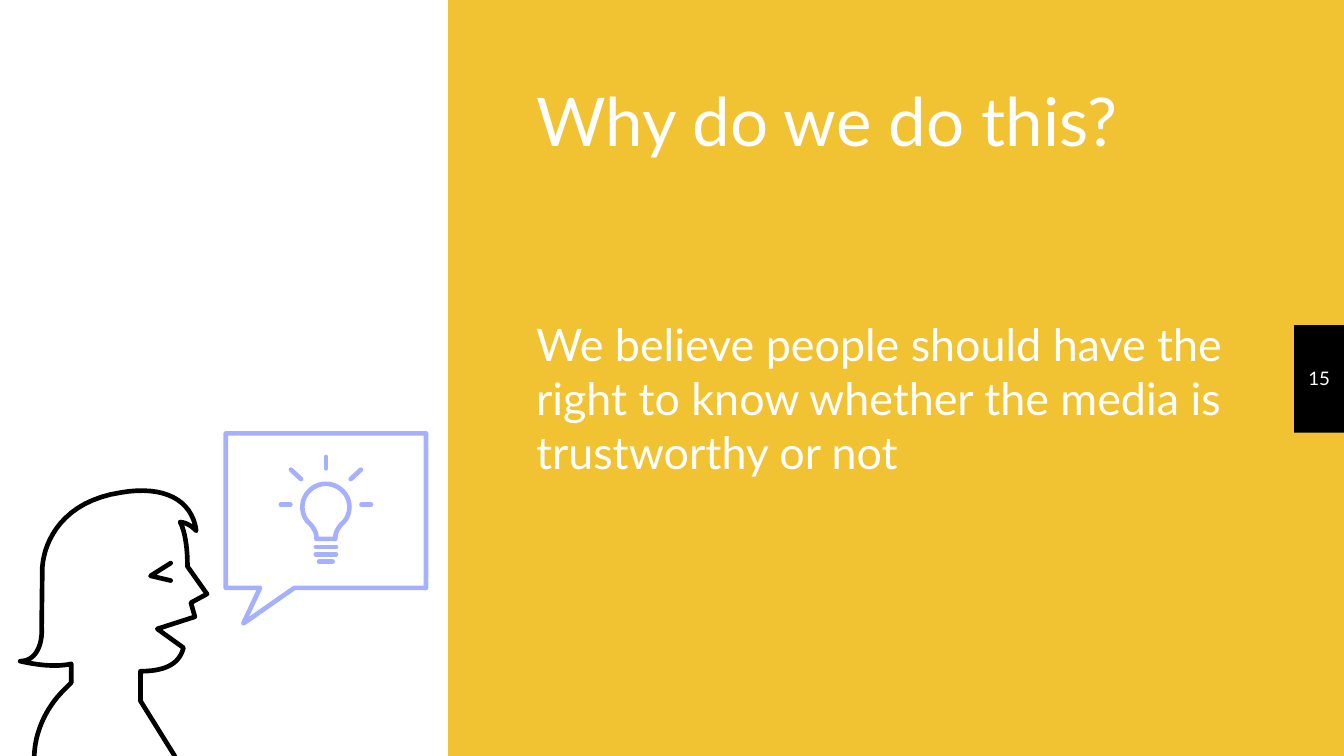
"""Build a slide that asks and answers why we do this."""
from lxml.etree import SubElement
from pptx import Presentation
from pptx.dml.color import RGBColor as RGB
from pptx.enum.shapes import MSO_CONNECTOR as CONN, MSO_SHAPE as SHAPE
from pptx.enum.text import MSO_ANCHOR as ANCHOR, MSO_AUTO_SIZE as FIT, PP_ALIGN as ALIGN
from pptx.oxml.ns import qn
from pptx.util import Inches, Pt

COLORS = {"gold": "F1C232", "white": "FFFFFF", "black": "000000", "lilac": "A5B0FE"}
COLS, ROWS = 100, 56.25
AXIS = 24.25


def bezier(a, b, c, d, steps=16):
    """Return points along a cubic curve, without its start."""
    ts = [i / steps for i in range(1, steps + 1)]
    return [tuple((1 - t) ** 3 * p + 3 * t * (1 - t) ** 2 * q + 3 * t * t * (1 - t) * r + t ** 3 * s
                  for p, q, r, s in zip(a, b, c, d)) for t in ts]


def trace(start, *segments):
    """Join runs of straight points and curves (three points) into one list of points."""
    points = [start]
    for seg in segments:
        points += bezier(points[-1], *seg) if len(seg) == 3 else seg
    return points


def mirror(points):
    """Reflect points across the axis of the bulb."""
    return [(2 * AXIS - x, y) for x, y in points]


class Deck:
    """Hold the style and the current slide; lengths are grid columns and rows."""

    font, stroke = "Lato", Pt(2.5)

    def __init__(self):
        """Start a deck with one title-only slide."""
        self.prs = Presentation()
        self.prs.slide_width, self.prs.slide_height = Inches(10), Inches(5.625)
        self.s = self.prs.slides.add_slide(self.prs.slide_layouts[5])
        self.s.background.fill.solid()
        self.s.background.fill.fore_color.rgb = self.color("gold")

    def color(self, name):
        """Look up a named colour."""
        return RGB.from_string(COLORS[name])

    def at(self, x, y):
        """Convert a column and a row to slide units."""
        return round(x * self.prs.slide_width / COLS), round(y * self.prs.slide_height / ROWS)

    def rect(self, x, y, w, h, color):
        """Add a plain filled rectangle."""
        sp = self.s.shapes.add_shape(SHAPE.RECTANGLE, *self.at(x, y), *self.at(w, h))
        sp.shadow.inherit = False
        sp.fill.solid()
        sp.fill.fore_color.rgb = self.color(color)
        sp.line.fill.background()

    def fill_text(self, sp, text, size, anchor, align=ALIGN.LEFT, wrap=True):
        """Fill a shape with one formatted paragraph."""
        tf = sp.text_frame
        tf.text = text
        frame = {"word_wrap": wrap, "auto_size": FIT.NONE, "vertical_anchor": anchor}
        frame.update({f"margin_{side}": Inches(0.1) for side in ("left", "top", "right", "bottom")})
        for key, value in frame.items():
            setattr(tf, key, value)
        p = tf.paragraphs[0]
        p.alignment = align
        font = p.runs[0].font
        for key, value in {"name": self.font, "size": Pt(size)}.items():
            setattr(font, key, value)
        font.color.rgb = self.color("white")

    def title(self, x, y, w, h, text, size):
        """Place and format the title placeholder."""
        sp = self.s.shapes.title
        (sp.left, sp.top), (sp.width, sp.height) = self.at(x, y), self.at(w, h)
        self.fill_text(sp, text, size, ANCHOR.BOTTOM)

    def text(self, x, y, w, h, text, size, anchor=ANCHOR.TOP, **style):
        """Add a text box."""
        sp = self.s.shapes.add_textbox(*self.at(x, y), *self.at(w, h))
        self.fill_text(sp, text, size, anchor, **style)

    def pen(self, sp, color):
        """Give a shape a round-ended stroke and no shadow."""
        sp.line.width = self.stroke
        sp.line.color.rgb = self.color(color)
        sp.line._get_or_add_ln().set("cap", "rnd")
        SubElement(sp._element.spPr, qn("a:effectLst"))

    def line(self, start, end, color):
        """Add a straight stroke."""
        self.pen(self.s.shapes.add_connector(CONN.STRAIGHT, *self.at(*start), *self.at(*end)), color)

    def draw(self, points, color, close=False):
        """Add an unfilled outline through the points."""
        pts = [self.at(*point) for point in points]
        builder = self.s.shapes.build_freeform(*pts[0])
        builder.add_line_segments(pts[1:], close=close)
        sp = builder.convert_to_shape()
        sp.fill.background()
        self.pen(sp, color)


def main():
    """Build and save the slide."""
    deck = Deck()
    deck.rect(96.3, 24.2, 3.7, 8, "black")
    deck.rect(0, 0, COLS / 3, ROWS, "white")
    deck.title(38.9, 3.1, 53.6, 9.8, "Why do we do this?", 36)
    deck.text(38.9, 22.6, 53.6, 17.5,
              "We believe people should have the right to know whether the media is trustworthy or not", 24)
    deck.text(96.3, 24.1, 3.7, 8, "15", 10, ANCHOR.MIDDLE, align=ALIGN.CENTER, wrap=False)

    eye = [(12.7, 41.9), (11.2, 42.85), (12.7, 43.2)]
    head = trace(
        (2.55, 56.25), [(2.6, 54.5), (3.4, 52.7), (4.7, 51.4)], [(5.3, 50.8), (5.3, 49.4)],
        [(4, 49.7), (2.4, 49.4), (1.5, 49.2)], [(2.6, 49.2), (3.2, 48.1), (3.1, 46.6)],
        [(3.15, 42.2)], [(3.3, 40.2), (4.7, 37.3), (9, 36.65)],
        [(12.2, 36.1), (14.3, 37.2), (14.6, 39.5)], [(14.4, 39.3), (14, 38.9), (13.4, 38.85)],
        [(13.7, 39.4), (13.95, 40.5), (13.95, 42.15)],
        [(15.4, 44.2), (14.2, 44.85), (14.5, 45.9), (11.7, 46.8), (13.65, 48.2)],
        [(13.4, 49.2), (12.6, 49.95), (10.45, 49.95)], [(10.45, 52.15), (13, 56.25)])
    bubble = [(16.8, 32.25), (31.7, 32.25), (31.7, 43.75), (21.9, 43.75),
              (18.1, 46.4), (19.35, 43.75), (16.8, 43.75)]
    half = trace((23.55, 40.1), [(23.55, 39.6), (23.4, 39.4), (23.1, 39)],
                 [(22.7, 38.7), (22.5, 38.2), (22.5, 37.7)], [(22.5, 36.8), (23.3, 36), (AXIS, 36)])
    for points, color, close in ((eye, "black", False), (head, "black", False), (bubble, "lilac", True),
                                 (half + mirror(half)[-2::-1], "lilac", True)):
        deck.draw(points, color, close)

    for row, reach in enumerate((0.75, 0.75, 0.5)):
        y = 40.7 + 0.55 * row
        deck.line((AXIS - reach, y), (AXIS + reach, y), "lilac")
    deck.line((AXIS, 34), (AXIS, 34.85), "lilac")
    for ray in ([(20.9, 37.55), (21.6, 37.55)], [(21.65, 34.95), (22.4, 35.65)]):
        deck.line(*ray, "lilac")
        deck.line(*mirror(ray), "lilac")
    deck.prs.save("out.pptx")


if __name__ == "__main__":
    main()
